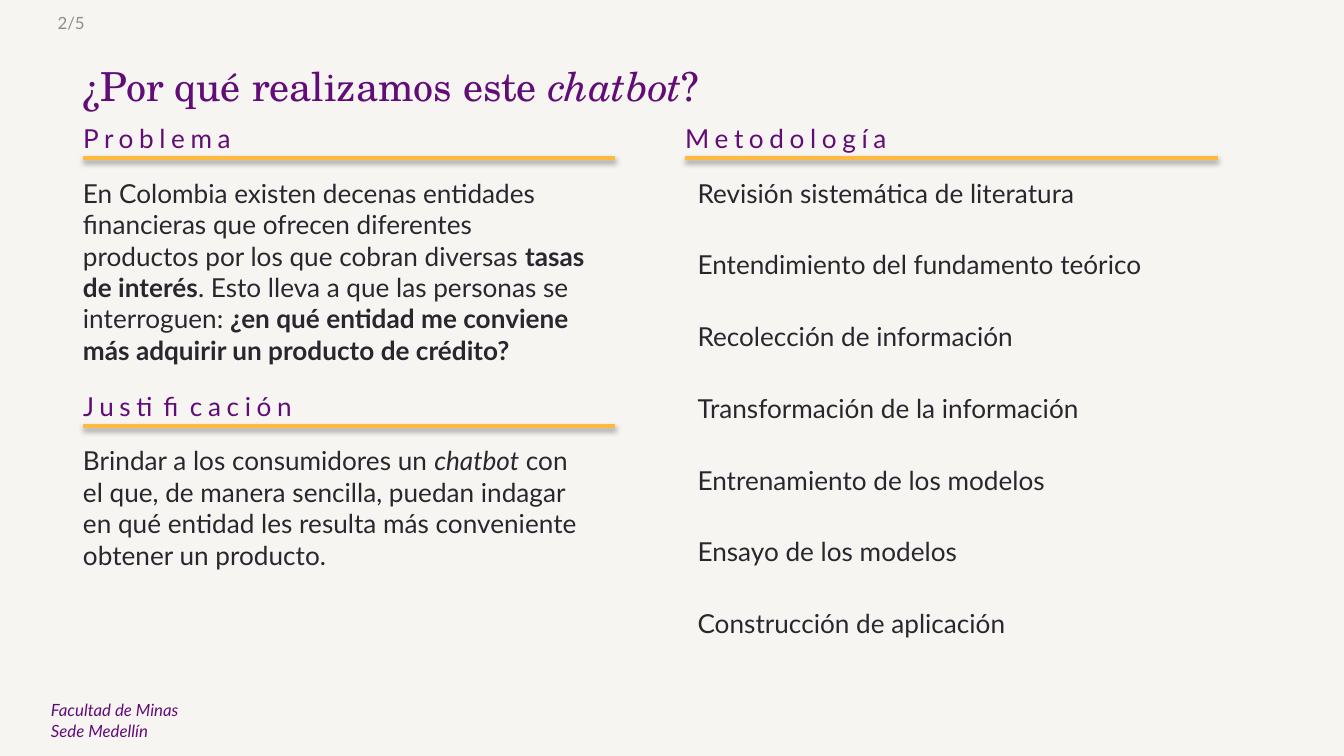
from dataclasses import dataclass

from lxml.etree import SubElement
from pptx import Presentation
from pptx.dml.color import RGBColor
from pptx.enum.shapes import MSO_CONNECTOR
from pptx.enum.text import MSO_ANCHOR
from pptx.oxml.ns import qn
from pptx.util import Pt

COLORS = {
    "background": "F7F5F2",
    "purple": "620C78",
    "body": "29272D",
    "gray": "8E8E8F",
    "amber": "FFB93E",
    "shadow": "000000",
}
COLUMN_WIDTH = 285.1
LEFT_COLUMN = 37.4
RIGHT_COLUMN = 360
INSET = 7.2
STEP_TOP = 91.4
STEP_GAP = 38.4


@dataclass(frozen=True)
class Run:
    text: str
    bold: bool = False
    italic: bool = False


@dataclass(frozen=True)
class Section:
    title: str
    left: float
    top: float
    body: tuple[Run, ...] = ()
    body_height: float = 0


SECTIONS = [
    Section("Problema", LEFT_COLUMN, 67, (
        Run("En Colombia existen decenas entidades financieras que ofrecen "
            "diferentes productos por los que cobran diversas "),
        Run("tasas de interés", bold=True),
        Run(". Esto lleva a que las personas se interroguen: "),
        Run("¿en qué entidad me conviene más adquirir un producto de crédito?", bold=True),
    ), 108.7),
    Section("Justificación", LEFT_COLUMN, 210.4, (
        Run("Brindar a los consumidores un "),
        Run("chatbot", italic=True),
        Run(" con el que, de manera sencilla, puedan indagar en qué entidad "
            "les resulta más conveniente obtener un producto."),
    ), 74.9),
    Section("Metodología", RIGHT_COLUMN, 67),
]

STEPS = [
    "Revisión sistemática de literatura",
    "Entendimiento del fundamento teórico",
    "Recolección de información",
    "Transformación de la información",
    "Entrenamiento de los modelos",
    "Ensayo de los modelos",
    "Construcción de aplicación",
]


def add_text(slide, paragraphs: list[tuple[Run, ...]], *, left: float, top: float,
             width: float, height: float, size: float = 14, color: str = "body",
             font: str = "Lato", spacing: float = 0,
             anchor: MSO_ANCHOR = MSO_ANCHOR.TOP) -> None:
    shape = slide.shapes.add_textbox(Pt(left), Pt(top), Pt(width), Pt(height))
    frame = shape.text_frame
    frame.word_wrap = True
    frame.vertical_anchor = anchor
    for index, runs in enumerate(paragraphs):
        paragraph = frame.add_paragraph() if index else frame.paragraphs[0]
        for part in runs:
            run = paragraph.add_run()
            run.text = part.text
            run.font.name = font
            run.font.size = Pt(size)
            run.font.bold = part.bold
            run.font.italic = part.italic
            run.font.color.rgb = RGBColor.from_string(COLORS[color])
            if spacing:
                run.font._element.set("spc", str(int(spacing * 100)))


def add_rule(slide, left: float, top: float) -> None:
    connector = slide.shapes.add_connector(
        MSO_CONNECTOR.STRAIGHT, Pt(left), Pt(top), Pt(left + COLUMN_WIDTH), Pt(top))
    connector.line.color.rgb = RGBColor.from_string(COLORS["amber"])
    connector.line.width = Pt(2)
    effects = SubElement(connector._element.spPr, qn("a:effectLst"))
    shadow = SubElement(effects, qn("a:outerShdw"), blurRad=str(Pt(3.1)),
                        dist=str(Pt(1.6)), dir="5400000", rotWithShape="0")
    color = SubElement(shadow, qn("a:srgbClr"), val=COLORS["shadow"])
    SubElement(color, qn("a:alpha"), val="38000")


def add_section(slide, section: Section) -> None:
    add_text(slide, [(Run(section.title),)], left=section.left, top=section.top,
             width=245.5, height=14.4, color="purple", spacing=3,
             anchor=MSO_ANCHOR.MIDDLE)
    add_rule(slide, section.left + INSET, section.top + 17.8)
    if section.body:
        add_text(slide, [section.body], left=section.left, top=section.top + 24.4,
                 width=COLUMN_WIDTH, height=section.body_height)


def main() -> None:
    presentation = Presentation()
    presentation.slide_width = Pt(720)
    presentation.slide_height = Pt(405)
    slide = presentation.slides.add_slide(presentation.slide_layouts[6])
    slide.background.fill.solid()
    slide.background.fill.fore_color.rgb = RGBColor.from_string(COLORS["background"])

    title = (Run("¿Por qué realizamos este "), Run("chatbot", italic=True), Run("?"))
    add_text(slide, [title], left=LEFT_COLUMN, top=23.8, width=520.6, height=43.9,
             size=21.4, color="purple", font="TeX Gyre Schola",
             anchor=MSO_ANCHOR.MIDDLE)
    add_text(slide, [(Run("2/5"),)], left=23.8, top=1.4, width=167.8, height=21.6,
             size=9, color="gray", anchor=MSO_ANCHOR.MIDDLE)
    footer = [(Run(line, italic=True),) for line in ("Facultad de Minas", "Sede Medellín")]
    add_text(slide, footer, left=20.2, top=371.5, width=245.5, height=28.8,
             size=9, color="purple")

    for section in SECTIONS:
        add_section(slide, section)
    for index, step in enumerate(STEPS):
        add_text(slide, [(Run(step),)], left=RIGHT_COLUMN + 6.6,
                 top=STEP_TOP + index * STEP_GAP, width=COLUMN_WIDTH, height=24.5)

    presentation.save("out.pptx")


if __name__ == "__main__":
    main()
